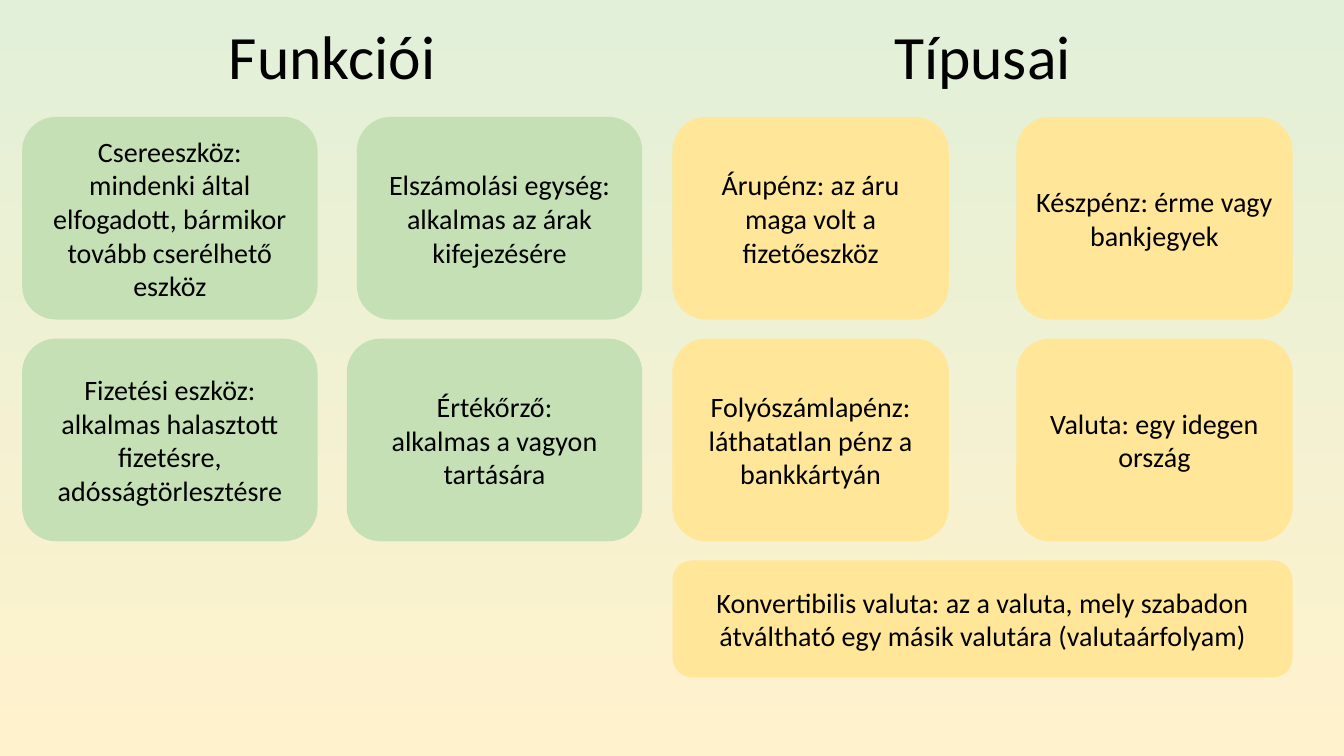
import pptx
import pptx.dml.color
import pptx.enum.shapes
import pptx.enum.text
import pptx.util

HUES = {
    "top": "E2F0D9",
    "base": "FFF2CC",
    "green": "C5E0B4",
    "gold": "FFE699",
    "ink": "000000",
}
ALIGN = pptx.enum.text.PP_ALIGN
ANCHOR = pptx.enum.text.MSO_ANCHOR
SHAPE = pptx.enum.shapes.MSO_SHAPE


def hue(name):
    return pptx.dml.color.RGBColor.from_string(HUES[name])


def put(item, values):
    for key, value in values.items():
        setattr(item, key, value)


class Board:
    left, pitch, width = 0.22, 6.45, 6.15
    rows, top, gap = (0.9, 2.01, 2.01, 1.16), 0.07, 0.19
    font = {"name": "Calibri"}
    line = {"alignment": ALIGN.CENTER}

    def __init__(self, deck):
        self.slide = deck.slides.add_slide(deck.slide_layouts[6])

    def shade(self, upper, lower):
        fill = self.slide.background.fill
        fill.gradient()
        fill.gradient_angle = 270
        for stop, name, place in zip(fill.gradient_stops, (upper, lower), (0, 1)):
            stop.position = place
            stop.color.rgb = hue(name)

    def cell(self, half, row, wide, right=False):
        x = self.left + half * self.pitch + (self.width - wide if right else 0)
        y = self.top + sum(self.rows[:row]) + row * self.gap
        return [pptx.util.Inches(v) for v in (x, y, wide, self.rows[row])]

    def label(self, shape, text, size, anchor, line):
        frame = shape.text_frame
        put(frame, {"text": text, "word_wrap": True, "vertical_anchor": anchor})
        for para in frame.paragraphs:
            put(para, {**self.line, **line})
            put(para.font, {**self.font, "size": pptx.util.Pt(size)})
            para.font.color.rgb = hue("ink")

    def head(self, half, text):
        box = self.slide.shapes.add_textbox(*self.cell(half, 0, self.width))
        self.label(box, text, 44, ANCHOR.BOTTOM, {"line_spacing": 0.9})

    def card(self, half, row, wide, right, tone, text):
        area = self.cell(half, row, wide, right)
        card = self.slide.shapes.add_shape(SHAPE.ROUNDED_RECTANGLE, *area)
        card.shadow.inherit = False
        card.fill.solid()
        card.fill.fore_color.rgb = hue(tone)
        card.line.fill.background()
        self.label(card, text, 20, ANCHOR.MIDDLE, {})


ROLES = [
    (1, 2.93, False, "Csereeszköz: mindenki által elfogadott, bármikor tovább cserélhető eszköz"),
    (2, 2.93, False, "Fizetési eszköz: alkalmas halasztott fizetésre, adósságtörlesztésre"),
    (1, 2.83, True, "Elszámolási egység: alkalmas az árak kifejezésére"),
    (2, 2.93, True, "Értékőrző:\nalkalmas a vagyon tartására"),
]
TYPES = [
    (1, 2.74, False, "Árupénz: az áru maga volt a fizetőeszköz"),
    (2, 2.74, False, "Folyószámlapénz: láthatatlan pénz a bankkártyán"),
    (1, 2.74, True, "Készpénz: érme vagy bankjegyek"),
    (2, 2.74, True, "Valuta: egy idegen ország"),
    (3, Board.width, False, "Konvertibilis valuta: az a valuta, mely szabadon "
                            "átváltható egy másik valutára (valutaárfolyam)"),
]
HALVES = [("Funkciói", "green", ROLES), ("Típusai", "gold", TYPES)]


def main():
    deck = pptx.Presentation()
    put(deck, {"slide_width": pptx.util.Inches(13.33), "slide_height": pptx.util.Inches(7.5)})
    board = Board(deck)
    board.shade("top", "base")
    for half, (title, tone, cards) in enumerate(HALVES):
        board.head(half, title)
        for row, wide, right, text in cards:
            board.card(half, row, wide, right, tone, text)
    deck.save("out.pptx")


if __name__ == "__main__":
    main()
